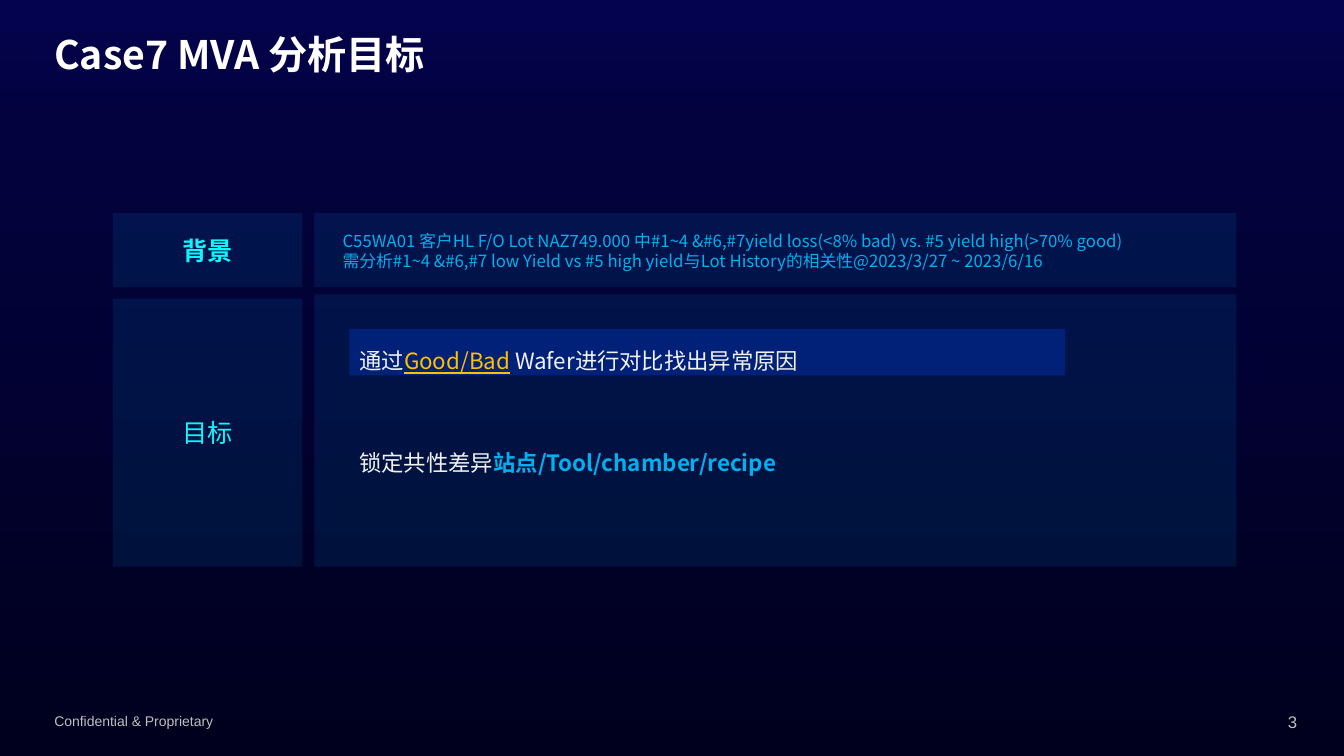
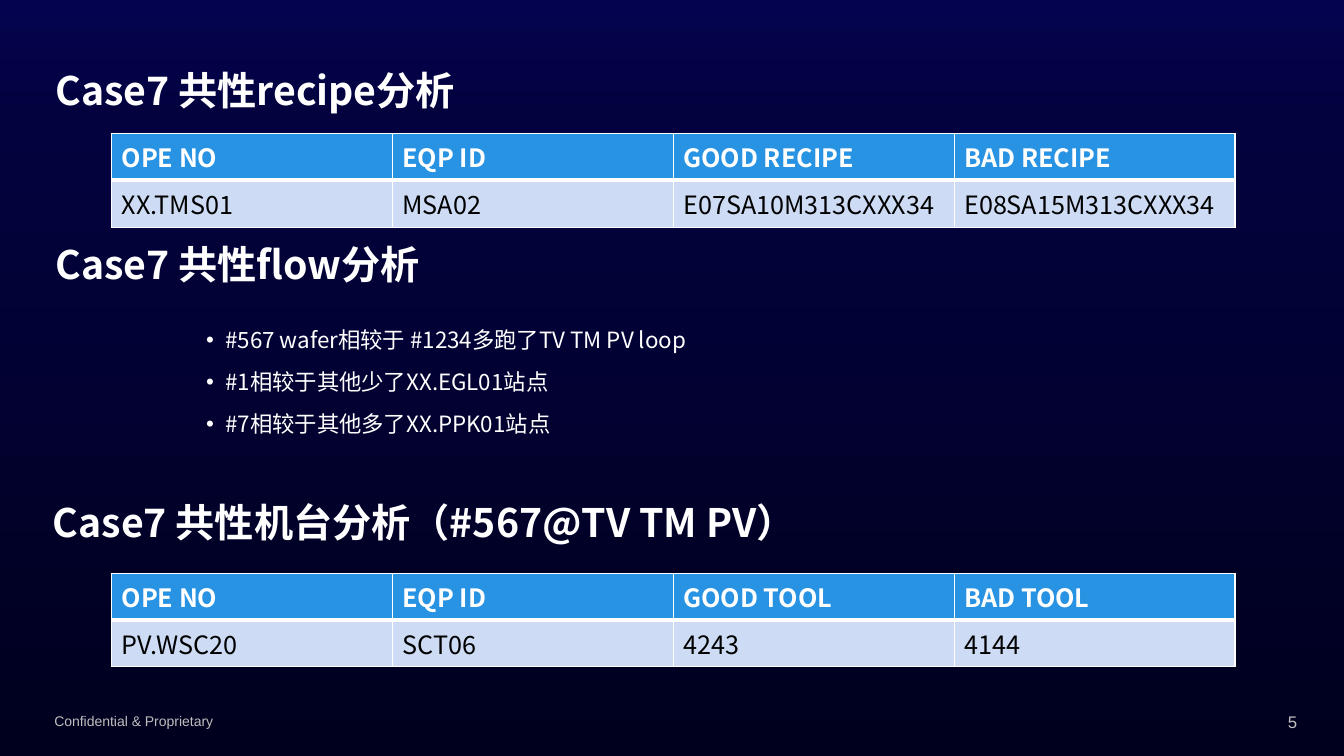
from copy import deepcopy
from dataclasses import dataclass
from typing import Optional, Sequence

from lxml.etree import SubElement
from pptx import Presentation
from pptx.dml.color import RGBColor
from pptx.enum.shapes import MSO_SHAPE as Preset
from pptx.enum.text import MSO_ANCHOR as Anchor, MSO_AUTO_SIZE as AutoSize, PP_ALIGN as Align
from pptx.oxml.ns import qn
from pptx.util import Emu, Inches, Pt

SLIDE_WIDTH, SLIDE_HEIGHT = Inches(13.333), Inches(7.5)
FONT, FOOTER_FONT = "Noto Sans CJK SC", "Arial"
WHITE, BLACK, GREY, PALE = "FFFFFF", "000000", "BFBFBF", "F2F2F2"
SKY, CYAN, NAVY, AMBER = "00B0F0", "0EF6FB", "002177", "FFC000"
HEADER_BLUE, ROW_BLUE = "2993E3", "CDDCF4"
BACKGROUND_STOPS = ((0, "04034F"), (0.16, "03023F"), (1, "00001E"))
PANEL_OPACITY = 10


@dataclass(frozen=True)
class Box:
    """A rectangle in percent of the slide's width and height."""
    left: float
    top: float
    width: float
    height: float

    def lengths(self) -> tuple[Emu, Emu, Emu, Emu]:
        return (across(self.left), down(self.top), across(self.width), down(self.height))


@dataclass(frozen=True)
class Piece:
    """A run of text with its look."""
    text: str
    color: str = WHITE
    size: float = 16
    bold: bool = False
    underline: bool = False
    font: str = FONT
    shadow: bool = False


@dataclass(frozen=True)
class Layout:
    """How the paragraphs of a text are set."""
    align: Align = Align.LEFT
    anchor: Anchor = Anchor.TOP
    spacing: float = 1.0
    after: float = 0
    bullet: bool = False


@dataclass(frozen=True)
class Panel:
    """A translucent panel with an optional label."""
    box: Box
    label: Optional[Piece] = None


@dataclass(frozen=True)
class Grid:
    """A table with a header row."""
    left_top: tuple[float, float]
    row_height: float
    rows: Sequence[Sequence[str]]


PLAIN = Layout()
CENTERED = Layout(Align.CENTER, Anchor.MIDDLE)
HEADING = Layout(anchor=Anchor.MIDDLE, spacing=0.9)
GOAL = Layout(Align.JUSTIFY, spacing=1.5, after=12)
BULLETS = Layout(spacing=1.25, after=6, bullet=True)

LABEL_LEFT, LABEL_WIDTH = 8.4, 14.1
CONTENT_LEFT, CONTENT_WIDTH = 23.4, 68.6
GOAL_LEFT, GOAL_WIDTH = 26, 53.25
TABLE_WIDTH = 83.6

PANELS = (
    Panel(Box(CONTENT_LEFT, 28.15, CONTENT_WIDTH, 9.85)),
    Panel(Box(CONTENT_LEFT, 38.95, CONTENT_WIDTH, 36)),
    Panel(Box(LABEL_LEFT, 28.15, LABEL_WIDTH, 9.85), Piece("背景", CYAN, 18, True)),
    Panel(Box(LABEL_LEFT, 39.5, LABEL_WIDTH, 35.45), Piece("目标", CYAN, 18)),
)
BACKGROUND_LINES = (
    "C55WA01 客户HL F/O Lot NAZ749.000 中#1~4 &#6,#7yield loss(<8% bad) vs. #5 yield high(>70% good)",
    "需分析#1~4 &#6,#7 low Yield vs #5 high yield与Lot History的相关性@2023/3/27 ~ 2023/6/16",
)
FINDINGS = (
    "#567 wafer相较于 #1234多跑了TV TM PV loop",
    "#1相较于其他少了XX.EGL01站点",
    "#7相较于其他多了XX.PPK01站点",
)
SECTIONS = (
    ("Case7 共性recipe分析", Box(3.4, 6.15, 33.8, 12.25)),
    ("Case7 共性flow分析", Box(3.4, 29.2, 33.8, 12.25)),
    ("Case7 共性机台分析（#567@TV TM PV）", Box(3.2, 63.3, 58.35, 12.25)),
)
TABLES = (
    Grid((8.3, 17.65), 6.2, (("OPE NO", "EQP ID", "GOOD RECIPE", "BAD RECIPE"),
                             ("XX.TMS01", "MSA02", "E07SA10M313CXXX34", "E08SA15M313CXXX34"))),
    Grid((8.3, 75.87), 5.4, (("OPE NO", "EQP ID", "GOOD TOOL", "BAD TOOL"),
                             ("PV.WSC20", "SCT06", "4243", "4144"))),
)


def across(percent: float) -> Emu:
    return Emu(round(SLIDE_WIDTH * percent / 100))


def down(percent: float) -> Emu:
    return Emu(round(SLIDE_HEIGHT * percent / 100))


def rgb(code: str) -> RGBColor:
    return RGBColor.from_string(code)


def add_piece(paragraph, piece: Piece) -> None:
    run = paragraph.add_run()
    run.text = piece.text
    font = run.font
    font.name, font.size = piece.font, Pt(piece.size)
    font.bold, font.underline = piece.bold, piece.underline
    font.color.rgb = rgb(piece.color)
    properties = run.font._element
    latin = properties.find(qn("a:latin"))
    if piece.shadow:
        effects = SubElement(properties, qn("a:effectLst"))
        latin.addprevious(effects)
        shadow = SubElement(effects, qn("a:outerShdw"), blurRad="38100", dist="38100", dir="2700000")
        color = SubElement(shadow, qn("a:srgbClr"), val=BLACK)
        SubElement(color, qn("a:alpha"), val="43000")
    east_asian = SubElement(properties, qn("a:ea"), typeface=piece.font)
    latin.addnext(east_asian)


def fill_text(frame, paragraphs: Sequence[Sequence[Piece]], layout: Layout) -> None:
    frame.word_wrap, frame.auto_size = True, AutoSize.NONE
    frame.vertical_anchor = layout.anchor
    for index, pieces in enumerate(paragraphs):
        paragraph = frame.add_paragraph() if index else frame.paragraphs[0]
        paragraph.alignment = layout.align
        paragraph.line_spacing, paragraph.space_after = layout.spacing, Pt(layout.after)
        if layout.bullet:
            properties = paragraph._p.get_or_add_pPr()
            indent = Inches(0.19)
            properties.set("marL", str(indent))
            properties.set("indent", str(-indent))
            SubElement(properties, qn("a:buFont"), typeface=FOOTER_FONT)
            SubElement(properties, qn("a:buChar"), char="•")
        for piece in pieces:
            add_piece(paragraph, piece)


def add_text(slide, box: Box, paragraphs: Sequence[Sequence[Piece]], layout: Layout = PLAIN) -> None:
    fill_text(slide.shapes.add_textbox(*box.lengths()).text_frame, paragraphs, layout)


def add_heading(slide, text: str, box: Box) -> None:
    add_text(slide, box, [[Piece(text, size=28, bold=True, shadow=True)]], HEADING)


def add_rectangle(slide, box: Box, color: str, opacity: int = 100):
    shape = slide.shapes.add_shape(Preset.RECTANGLE, *box.lengths())
    shape.shadow.inherit = False
    shape.fill.solid()
    shape.fill.fore_color.rgb = rgb(color)
    shape.line.fill.background()
    if opacity < 100:
        fill_color = shape._element.spPr.find(qn("a:solidFill"))[0]
        SubElement(fill_color, qn("a:alpha"), val=str(opacity * 1000))
    return shape


def add_panel(slide, panel: Panel) -> None:
    shape = add_rectangle(slide, panel.box, SKY, PANEL_OPACITY)
    if panel.label:
        fill_text(shape.text_frame, [[panel.label]], CENTERED)


def set_borders(cell, widths: dict[str, float]) -> None:
    properties = cell._tc.get_or_add_tcPr()
    for position, (side, width) in enumerate(widths.items()):
        line = SubElement(properties, qn(f"a:{side}"), w=str(Pt(width)))
        properties.insert(position, line)
        SubElement(SubElement(line, qn("a:solidFill")), qn("a:srgbClr"), val=WHITE)


def add_grid(slide, grid: Grid) -> None:
    row_count, column_count = len(grid.rows), len(grid.rows[0])
    box = Box(*grid.left_top, TABLE_WIDTH, grid.row_height * row_count)
    table = slide.shapes.add_table(row_count, column_count, *box.lengths()).table
    for row_index, texts in enumerate(grid.rows):
        header = row_index == 0
        for column_index, text in enumerate(texts):
            cell = table.cell(row_index, column_index)
            cell.fill.solid()
            cell.fill.fore_color.rgb = rgb(HEADER_BLUE if header else ROW_BLUE)
            set_borders(cell, {"lnL": 1, "lnR": 1, "lnT": 1 if header else 3, "lnB": 3 if header else 1})
            add_piece(cell.text_frame.paragraphs[0], Piece(text, WHITE if header else BLACK, 18, header))


def add_base(presentation, number: int):
    slide = presentation.slides.add_slide(presentation.slide_layouts[6])
    fill = slide.background.fill
    fill.gradient()
    fill.gradient_angle = 270
    stop_list = slide.element.find(".//" + qn("a:gsLst"))
    stop_list.append(deepcopy(stop_list[0]))
    for stop, (position, color) in zip(fill.gradient_stops, BACKGROUND_STOPS):
        stop.position, stop.color.rgb = position, rgb(color)
    add_text(slide, Box(3.3, 93.6, 33.75, 3.6),
             [[Piece("Confidential & Proprietary", GREY, 10, font=FOOTER_FONT)]])
    add_text(slide, Box(93.5, 93.5, 3.75, 4),
             [[Piece(str(number), GREY, 12, font=FOOTER_FONT)]], Layout(Align.RIGHT))
    return slide


def build_goal_slide(presentation) -> None:
    slide = add_base(presentation, 3)
    add_heading(slide, "Case7 MVA 分析目标", Box(3.3, 4, 75.6, 7.1))
    for panel in PANELS:
        add_panel(slide, panel)
    add_text(slide, Box(24.75, 29.85, 65.9, 6.65), [[Piece(line, SKY, 12)] for line in BACKGROUND_LINES])
    highlight = add_rectangle(slide, Box(GOAL_LEFT, 43.5, GOAL_WIDTH, 6.15), NAVY)
    fill_text(highlight.text_frame, [[Piece("通过", PALE), Piece("Good/Bad", AMBER, underline=True),
                                      Piece(" ", PALE), Piece("Wafer进行对比找出异常原因", PALE)]], GOAL)
    add_text(slide, Box(GOAL_LEFT, 56.95, GOAL_WIDTH, 6.65),
             [[Piece("锁定共性差异", PALE), Piece("站点/Tool/chamber/recipe", SKY, bold=True)]], GOAL)


def build_analysis_slide(presentation) -> None:
    slide = add_base(presentation, 5)
    for text, box in SECTIONS:
        add_heading(slide, text, box)
    for grid in TABLES:
        add_grid(slide, grid)
    add_text(slide, Box(14.6, 41.6, 54.7, 17.1), [[Piece(line)] for line in FINDINGS], BULLETS)


def main() -> None:
    """Build the two slides and save them."""
    presentation = Presentation()
    presentation.slide_width, presentation.slide_height = SLIDE_WIDTH, SLIDE_HEIGHT
    build_goal_slide(presentation)
    build_analysis_slide(presentation)
    presentation.save("out.pptx")


if __name__ == "__main__":
    main()
